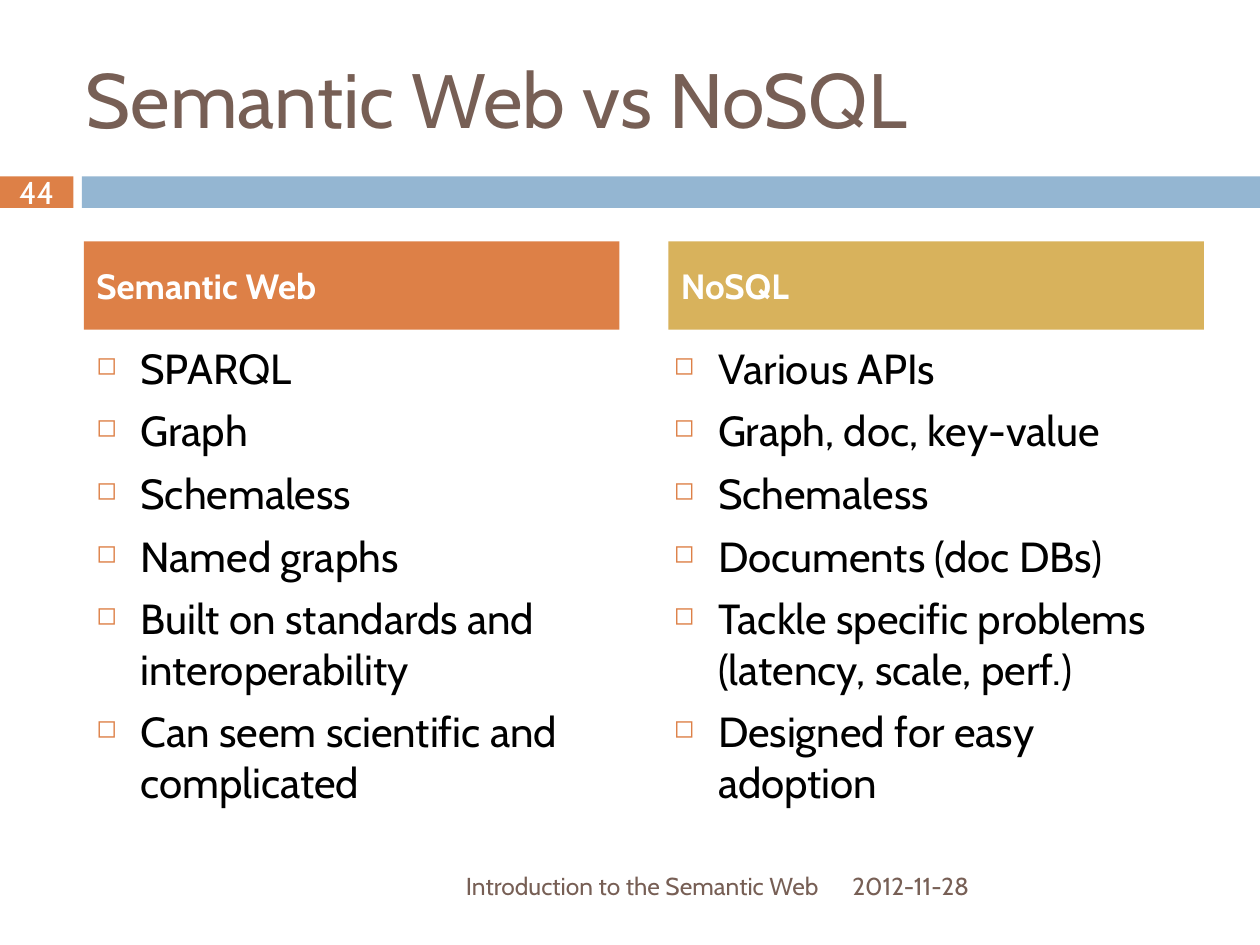
"""Build the slide that compares the Semantic Web with NoSQL."""
from lxml.etree import SubElement
from pptx import Presentation
from pptx.dml.color import RGBColor
from pptx.enum.shapes import MSO_SHAPE
from pptx.enum.text import MSO_ANCHOR, PP_ALIGN
from pptx.oxml.ns import qn
from pptx.util import Pt

ORANGE, BLUE, GOLD, BROWN = "DD8047", "94B6D2", "D8B25C", "775F55"
WHITE, BLACK = "FFFFFF", "000000"


def color(value):
    return RGBColor.from_string(value)


def add_block(box, lines=(), fill=None, ink=BLACK, font=None, paragraph=None, frame=None):
    left, top, width, height = map(Pt, box)
    if fill:
        block = slide.shapes.add_shape(MSO_SHAPE.RECTANGLE, left, top, width, height)
        block.shadow.inherit = False
        block.fill.solid()
        block.fill.fore_color.rgb = color(fill)
        block.line.fill.background()
    else:
        block = slide.shapes.add_textbox(left, top, width, height)
    text = block.text_frame
    text.text = "\n".join(lines)
    frame_format = {"word_wrap": True, "vertical_anchor": MSO_ANCHOR.MIDDLE} | (frame or {})
    for name, value in frame_format.items():
        setattr(text, name, value)
    paragraph_format = {"alignment": PP_ALIGN.LEFT} | (paragraph or {})
    font_format = {"name": "Cabin"} | (font or {})
    for line in text.paragraphs:
        for name, value in paragraph_format.items():
            setattr(line, name, value)
        for name, value in font_format.items():
            setattr(line.font, name, value)
        line.font.color.rgb = color(ink)
    return text


deck = Presentation()
deck.slide_width, deck.slide_height = Pt(720), Pt(540)
slide = deck.slides.add_slide(deck.slide_layouts[6])

no_margins = {f"margin_{side}": 0 for side in ("left", "top", "right", "bottom")}
add_block((0, 100.8, 42, 18), ["44"], fill=ORANGE, ink=WHITE, font={"size": Pt(18)},
          paragraph={"alignment": PP_ALIGN.CENTER}, frame=no_margins)
add_block((46.8, 100.8, 673.2, 18), fill=BLUE)
add_block((42, 21.6, 642, 68.4), ["Semantic Web vs NoSQL"], ink=BROWN, font={"size": Pt(44)})

columns = [
    ("Semantic Web", ORANGE, 48, 48,
     ["SPARQL", "Graph", "Schemaless", "Named graphs",
      "Built on standards and interoperability", "Can seem scientific and complicated"]),
    ("NoSQL", GOLD, 382, 378,
     ["Various APIs", "Graph, doc, key-value", "Schemaless", "Documents (doc DBs)",
      "Tackle specific problems (latency, scale, perf.)", "Designed for easy adoption"]),
]
spaced = {"space_before": Pt(7)}
for heading, fill, heading_left, points_left, points in columns:
    add_block((heading_left, 138, 306, 50.4), [heading], fill=fill, ink=WHITE,
              font={"size": Pt(20), "bold": True}, paragraph=spaced)
    point_list = add_block((points_left, 192, 306, 282), points, font={"size": Pt(24)},
                           paragraph=spaced, frame={"vertical_anchor": MSO_ANCHOR.TOP})
    for point in point_list.paragraphs:
        properties = point._p.get_or_add_pPr()
        properties.set("marL", str(Pt(25.2)))
        properties.set("indent", str(-Pt(25.2)))
        bullet_color = SubElement(properties, qn("a:buClr"))
        SubElement(bullet_color, qn("a:srgbClr"), val=ORANGE)
        SubElement(properties, qn("a:buSzPct"), val="60000")
        SubElement(properties, qn("a:buChar"), char="◻")
        properties.append(properties.find(qn("a:defRPr")))

footers = [
    ("Introduction to the Semantic Web", 48, 427, PP_ALIGN.RIGHT),
    ("2012-11-28", 480, 210, PP_ALIGN.LEFT),
]
for footer, left, width, alignment in footers:
    add_block((left, 492, width, 28.8), [footer], ink=BROWN, font={"size": Pt(14)},
              paragraph={"alignment": alignment})

deck.save("out.pptx")
